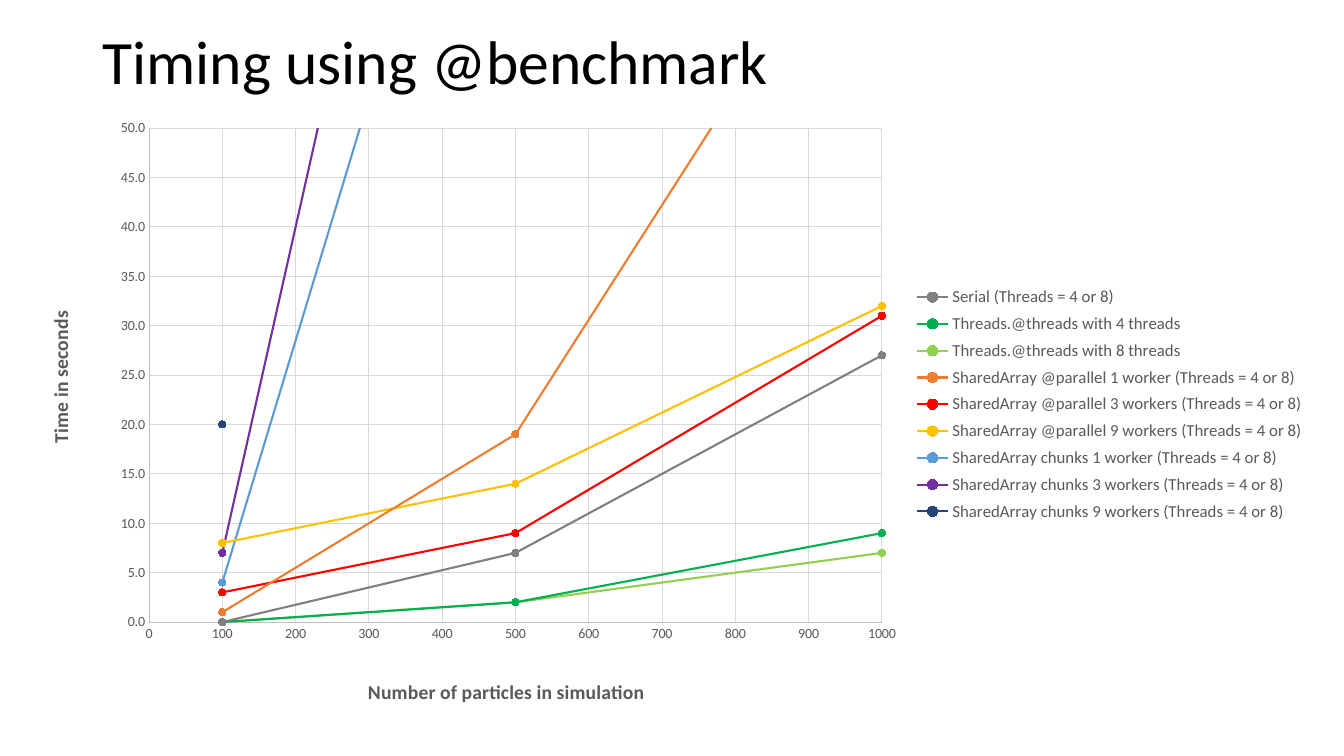
from lxml import etree
from pptx import Presentation
from pptx import util as u
from pptx.chart.data import XyChartData
from pptx.dml.color import RGBColor
from pptx.enum import chart as ch, text
from pptx.oxml.ns import qn

FONT = "Calibri"
BLACK = RGBColor(0x00, 0x00, 0x00)
LABEL = RGBColor(0x59, 0x59, 0x59)
AXIS = RGBColor(0xBF, 0xBF, 0xBF)
GRID = RGBColor(0xD9, 0xD9, 0xD9)
GRAY = RGBColor(0x80, 0x80, 0x80)
GREEN = RGBColor(0x00, 0xB0, 0x50)
LIME = RGBColor(0x92, 0xD0, 0x50)
ORANGE = RGBColor(0xED, 0x7D, 0x31)
RED = RGBColor(0xFF, 0x00, 0x00)
GOLD = RGBColor(0xFF, 0xC0, 0x00)
BLUE = RGBColor(0x5B, 0x9B, 0xD5)
PURPLE = RGBColor(0x70, 0x30, 0xA0)
NAVY = RGBColor(0x26, 0x44, 0x78)

WIDTH, HEIGHT = u.Inches(13.33), u.Inches(7.5)
PARTICLES = (1000, 500, 100)
BOTH = " (Threads = 4 or 8)"

# Name, colour, and {particles: seconds}
TIMINGS = [
    ("Serial" + BOTH, GRAY, dict(zip(PARTICLES, (27, 7, 0)))),
    ("Threads.@threads with 4 threads", GREEN, dict(zip(PARTICLES, (9, 2, 0)))),
    ("Threads.@threads with 8 threads", LIME, dict(zip(PARTICLES, (7, 2, 0)))),
    ("SharedArray @parallel 1 worker" + BOTH, ORANGE, dict(zip(PARTICLES, (77, 19, 1)))),
    ("SharedArray @parallel 3 workers" + BOTH, RED, dict(zip(PARTICLES, (31, 9, 3)))),
    ("SharedArray @parallel 9 workers" + BOTH, GOLD, dict(zip(PARTICLES, (32, 14, 8)))),
    ("SharedArray chunks 1 worker" + BOTH, BLUE, dict(zip(PARTICLES, (430, 102, 4)))),
    ("SharedArray chunks 3 workers" + BOTH, PURPLE, dict(zip(PARTICLES, (578, 139, 7)))),
    ("SharedArray chunks 9 workers" + BOTH, NAVY, {100: 20}),
]


def box(left, top, width, height):
    """Turn percentages of the slide into lengths."""
    return (int(WIDTH * left / 100), int(HEIGHT * top / 100),
            int(WIDTH * width / 100), int(HEIGHT * height / 100))


def set_font(font, size, color, bold=False):
    font.name, font.size, font.bold = FONT, u.Pt(size), bold
    font.color.rgb = color


def set_line(line, color, width):
    line.color.rgb = color
    line.width = u.Pt(width)


def place(element, index, target=None, **percents):
    """Give a chart part a manual layout in percentages of the chart."""
    for old in element.findall(qn("c:layout")):
        element.remove(old)
    layout = etree.Element(qn("c:layout"))
    manual = etree.SubElement(layout, qn("c:manualLayout"))
    if target:
        etree.SubElement(manual, qn("c:layoutTarget")).set("val", target)
    for mode in ("xMode", "yMode"):
        etree.SubElement(manual, qn("c:" + mode)).set("val", "edge")
    for name, percent in percents.items():
        etree.SubElement(manual, qn("c:" + name)).set("val", str(percent / 100))
    element.insert(index, layout)


def add_title(slide, words):
    tf = slide.shapes.add_textbox(*box(6.9, 2.6, 86.3, 11.9)).text_frame
    tf.word_wrap = True
    tf.vertical_anchor = text.MSO_ANCHOR.MIDDLE
    p = tf.paragraphs[0]
    p.text = words
    p.line_spacing = 0.9
    set_font(p.font, 44, BLACK)


def style_axis(axis, title, maximum, step, number_format, rotation, x, y):
    axis.minimum_scale, axis.maximum_scale, axis.major_unit = 0, maximum, step
    axis.major_tick_mark = axis.minor_tick_mark = ch.XL_TICK_MARK.NONE
    axis.has_major_gridlines = True
    set_line(axis.major_gridlines.format.line, GRID, 0.75)
    set_line(axis.format.line, AXIS, 0.75)
    labels = axis.tick_labels
    labels.number_format, labels.number_format_is_linked = number_format, False
    set_font(labels.font, 10, LABEL)
    tf = axis.axis_title.text_frame
    tf.text = title
    set_font(tf.paragraphs[0].font, 14, LABEL, True)
    tf._txBody.bodyPr.set("rot", str(rotation * 60000))
    place(axis.axis_title._element, 1, x=x, y=y)


def style_series(series, color):
    set_line(series.format.line, color, 1.5)
    marker = series.marker
    marker.style, marker.size = ch.XL_MARKER_STYLE.CIRCLE, 5
    marker.format.fill.solid()
    marker.format.fill.fore_color.rgb = color
    set_line(marker.format.line, color, 0.75)


def add_timing_chart(slide):
    data = XyChartData()
    for name, _, points in TIMINGS:
        series = data.add_series(name)
        for particles, seconds in points.items():
            series.add_data_point(particles, seconds)
    chart = slide.shapes.add_chart(ch.XL_CHART_TYPE.XY_SCATTER_LINES,
                                   *box(3.23, 14.4, 95.5, 79.6), data).chart
    set_font(chart.font, 10, BLACK)
    chart.has_title = False
    plot = chart.plots[0]
    plot.vary_by_categories = False
    for series, (_, color, _) in zip(plot.series, TIMINGS):
        style_series(series, color)

    # Axes and plot area
    style_axis(chart.category_axis, "Number of particles in simulation",
               1000, 100, "General", 0, 25, 94)
    style_axis(chart.value_axis, "Time in seconds",
               50, 5, "#,##0.0", -90, 0, 33)
    place(chart._chartSpace.chart.plotArea, 0, "inner",
          x=8.23, y=3.2, w=57.1, h=82.1)

    # Legend
    chart.has_legend = True
    legend = chart.legend
    legend.position = ch.XL_LEGEND_POSITION.RIGHT
    legend.include_in_layout = False
    set_font(legend.font, 12, LABEL)
    place(legend._element, 1, x=67.2, y=28.5, w=31.7, h=41.2)


def main():
    prs = Presentation()
    prs.slide_width, prs.slide_height = WIDTH, HEIGHT
    slide = prs.slides.add_slide(prs.slide_layouts[6])
    add_title(slide, "Timing using @benchmark")
    add_timing_chart(slide)
    prs.save("out.pptx")


if __name__ == "__main__":
    main()
